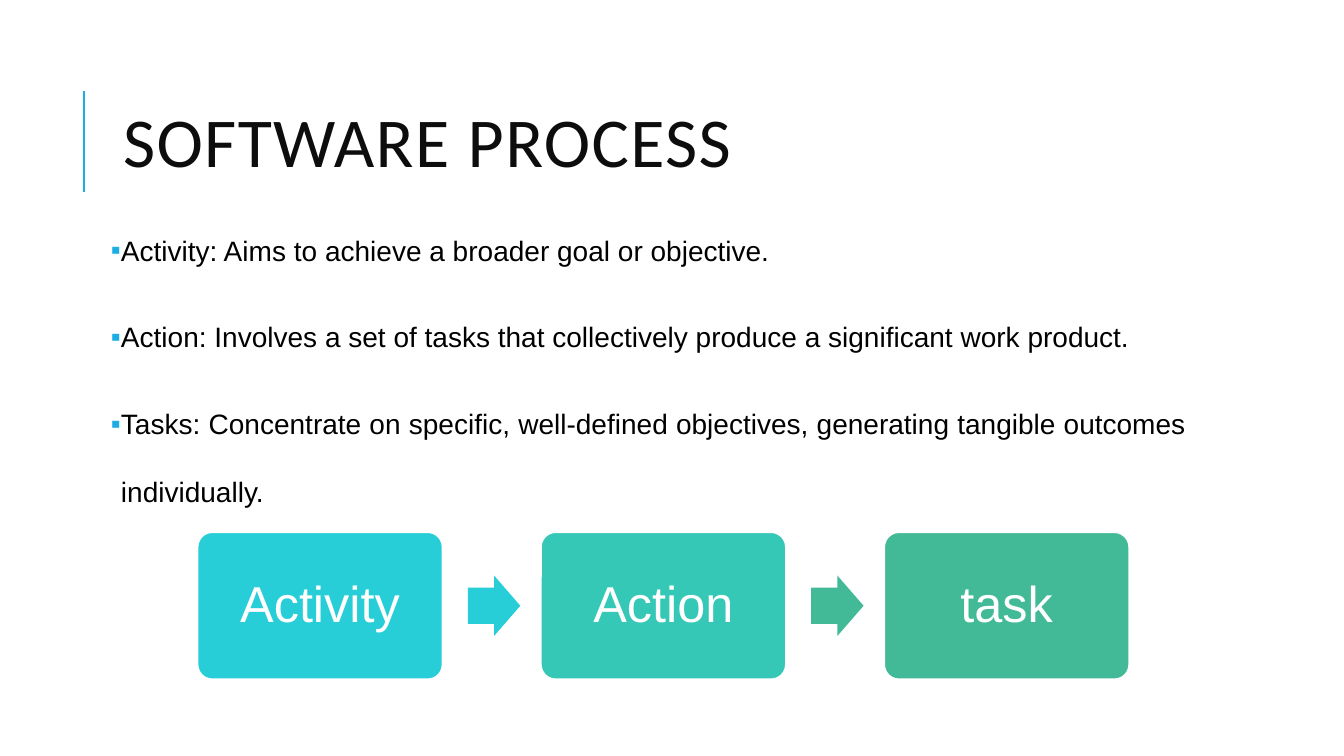
from lxml import etree
from pptx import Presentation
from pptx.dml.color import RGBColor
from pptx.enum.shapes import MSO_CONNECTOR, MSO_SHAPE
from pptx.enum.text import MSO_ANCHOR, MSO_AUTO_SIZE, PP_ALIGN
from pptx.oxml.ns import qn
from pptx.util import Inches, Pt

LINE = MSO_CONNECTOR.STRAIGHT
BOX, ARROW = MSO_SHAPE.ROUNDED_RECTANGLE, MSO_SHAPE.RIGHT_ARROW
MID, TOP = MSO_ANCHOR.MIDDLE, MSO_ANCHOR.TOP
LEFT, MIDDLE, FULL = PP_ALIGN.LEFT, PP_ALIGN.CENTER, PP_ALIGN.JUSTIFY
HEX = {"blue": "1CADE4", "ink": "0D0D0D", "black": "000000", "white": "FFFFFF",
       "cyan": "27CED7", "teal": "35C8B7", "green": "42BA97"}


def tint(name):
    return RGBColor.from_string(HEX[name])


def style(para, face, size, color, align, space):
    para.font.name, para.font.size = face, Pt(size)
    para.font.color.rgb = tint(color)
    para.alignment, para.line_spacing = align, space


deck = Presentation()
deck.slide_width, deck.slide_height = Inches(13.33), Inches(7.5)
slide = deck.slides.add_slide(deck.slide_layouts[5])
shapes = slide.shapes

# Accent line beside the title
rule = shapes.add_connector(LINE, Inches(0.83), Inches(1.9), Inches(0.83), Inches(0.9))
rule.line.color.rgb, rule.line.width = tint("blue"), Pt(1.5)
etree.SubElement(rule._element.spPr, qn("a:effectLst"))

# Title
title = shapes.title
title.left, title.top = Inches(1.12), Inches(0.64)
title.width, title.height = Inches(10.63), Inches(1.64)
frame = title.text_frame
frame.text = "SOFTWARE PROCESS"
frame.auto_size, frame.vertical_anchor = MSO_AUTO_SIZE.NONE, MID
head = frame.paragraphs[0]
style(head, "Calibri", 50, "ink", LEFT, 0.8)
head.runs[0]._r.get_or_add_rPr().set("spc", "100")

# Definitions
notes = [
    "Activity: Aims to achieve a broader goal or objective.",
    "Action: Involves a set of tasks that collectively produce a significant work product.",
    "Tasks: Concentrate on specific, well-defined objectives, "
    "generating tangible outcomes individually.",
]
frame = shapes.add_textbox(Inches(1.05), Inches(1.93), Inches(10.77), Inches(4.82)).text_frame
frame.word_wrap, frame.vertical_anchor = True, TOP
frame.margin_left = frame.margin_right = Inches(0.05)
frame.margin_top = frame.margin_bottom = Inches(0.05)
frame.text = "\n".join(notes)
for para in frame.paragraphs:
    para.space_before, para.space_after = Pt(12), Pt(2)
    para.line_spacing = 2.0
    props = para._p.get_or_add_pPr()
    props.set("marL", str(Inches(0.1)))
    props.set("indent", str(-Inches(0.1)))
    shade = etree.SubElement(props, qn("a:buClr"))
    etree.SubElement(shade, qn("a:srgbClr"), val=HEX["blue"])
    etree.SubElement(props, qn("a:buFont"), typeface="Arial")
    etree.SubElement(props, qn("a:buChar"), char="▪")
    style(para, "Arial", 20, "black", FULL, 2.0)

# Process steps, with an arrow after all but the last
steps = [("Activity", "cyan", "cyan"), ("Action", "teal", "green"), ("task", "green", None)]
start, pitch = Inches(1.96), Inches(6.81) // 2
for col, (word, fill, next_fill) in enumerate(steps):
    left = start + col * pitch
    box = shapes.add_shape(BOX, left, Inches(5.28), Inches(2.43), Inches(1.46))
    box.adjustments[0] = 0.1
    box.shadow.inherit = False
    box.fill.solid()
    box.fill.fore_color.rgb = tint(fill)
    box.line.color.rgb, box.line.width = tint("white"), Pt(1.25)
    frame = box.text_frame
    frame.text, frame.vertical_anchor = word, MID
    style(frame.paragraphs[0], "Arial", 36, "white", MIDDLE, 0.9)

    if next_fill:
        arrow = shapes.add_shape(ARROW, left + Inches(2.68), Inches(5.71),
                                 Inches(0.52), Inches(0.6))
        arrow.adjustments[0], arrow.adjustments[1] = 0.6, 0.5
        arrow.shadow.inherit = False
        arrow.fill.solid()
        arrow.fill.fore_color.rgb = tint(next_fill)
        arrow.line.fill.background()

deck.save("out.pptx")
